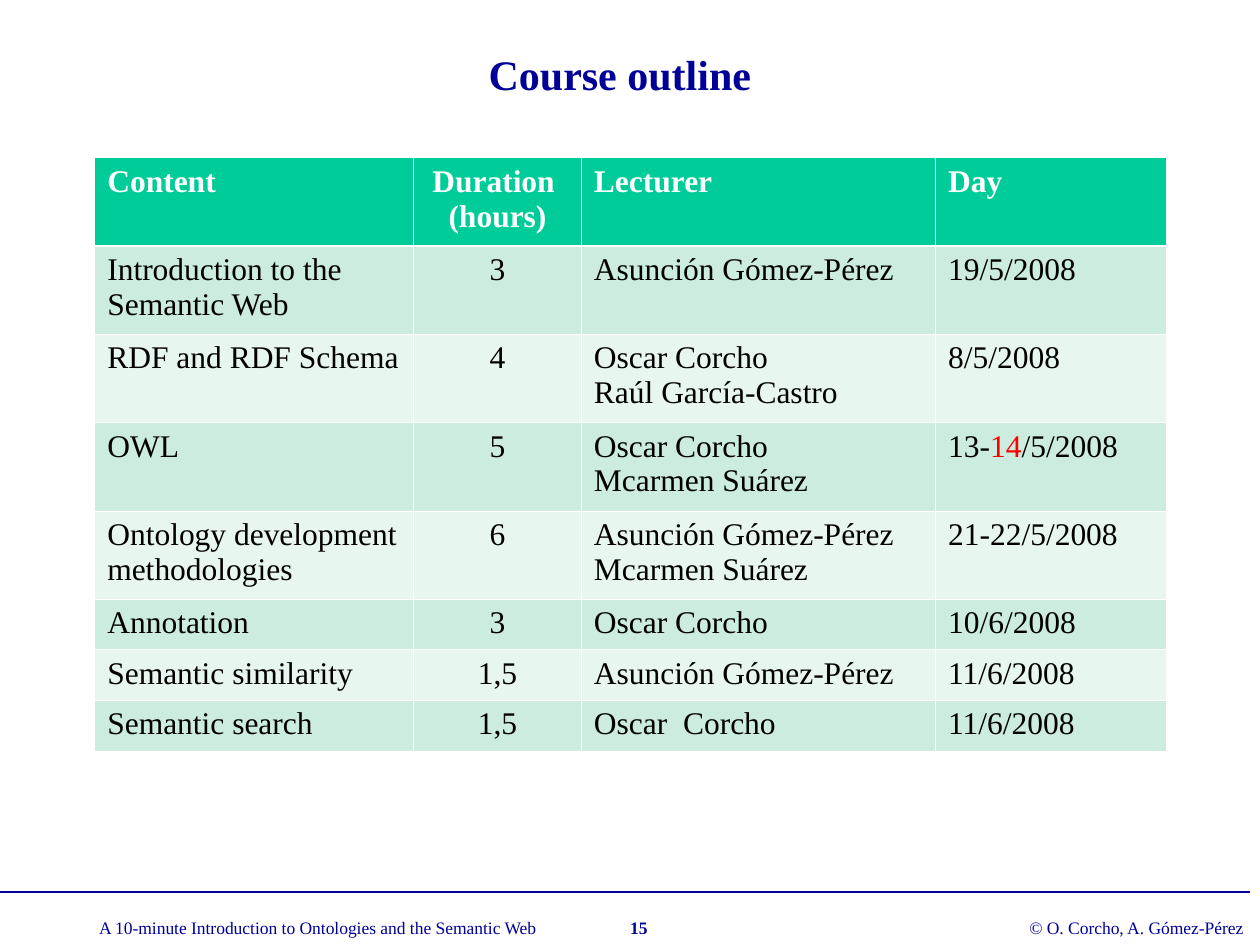
"""Build the course outline slide with its schedule table and footer."""
import dataclasses

import lxml.etree
import pptx
import pptx.dml.color
import pptx.enum.shapes
import pptx.enum.text
import pptx.oxml.ns
import pptx.util

Cm = pptx.util.Cm
Pt = pptx.util.Pt
RGB = pptx.dml.color.RGBColor
ALIGN = pptx.enum.text.PP_ALIGN
qn = pptx.oxml.ns.qn


@dataclasses.dataclass(frozen=True)
class Theme:
    """Colours, font and type sizes of the slide."""
    font: str = "Times New Roman"
    navy: RGB = RGB(0x00, 0x00, 0x99)
    white: RGB = RGB(0xFF, 0xFF, 0xFF)
    black: RGB = RGB(0x00, 0x00, 0x00)
    red: RGB = RGB(0xFF, 0x00, 0x00)
    header: RGB = RGB(0x00, 0xCC, 0x99)
    bands: tuple = (RGB(0xCB, 0xEC, 0xDE), RGB(0xE7, 0xF6, 0xEF))
    title_size: int = 24
    table_size: int = 18
    footer_size: int = 10
    border: float = 0.45
    header_border: float = 1.5


THEME = Theme()
COLUMN_WIDTHS = (6.43, 3.38, 7.14, 4.65)
TALL_ROW, SHORT_ROW = 1.78, 1.02
DURATION_COLUMN = 1
HEADINGS = ("Content", "Duration \n(hours)", "Lecturer", "Day")
COURSES = (
    ("Introduction to the Semantic Web", "3", "Asunción Gómez-Pérez", "19/5/2008"),
    ("RDF and RDF Schema", "4", "Oscar Corcho\nRaúl García-Castro", "8/5/2008"),
    ("OWL", "5", "Oscar Corcho\nMcarmen Suárez",
     (("13-", THEME.black), ("14", THEME.red), ("/5/2008", THEME.black))),
    ("Ontology development methodologies", "6",
     "Asunción Gómez-Pérez\nMcarmen Suárez", "21-22/5/2008"),
    ("Annotation", "3", "Oscar Corcho", "10/6/2008"),
    ("Semantic similarity", "1,5", "Asunción Gómez-Pérez", "11/6/2008"),
    ("Semantic search", "1,5", "Oscar  Corcho", "11/6/2008"),
)
SHORT_COURSES = 3


def add_run(paragraph, text, size, color, bold=False):
    """Add one formatted run, with line breaks where the text has them."""
    for number, line in enumerate(text.split("\n")):
        if number:
            paragraph.add_line_break()
        run = paragraph.add_run()
        run.text = line
        run.font.name = THEME.font
        run.font.size = Pt(size)
        run.font.bold = bold
        run.font.color.rgb = color


def add_title(slide, text):
    """Place and fill the title placeholder."""
    title = slide.shapes.title
    title.left, title.top, title.width, title.height = Cm(1.7), Cm(0.43), Cm(21.59), Cm(2.11)
    title.text_frame.vertical_anchor = pptx.enum.text.MSO_ANCHOR.MIDDLE
    paragraph = title.text_frame.paragraphs[0]
    paragraph.alignment = ALIGN.CENTER
    add_run(paragraph, text, THEME.title_size, THEME.navy, bold=True)


def add_footer_text(slide, text, left, width, alignment=ALIGN.LEFT, bold=False):
    """Add one unwrapped text box on the footer line."""
    shape = slide.shapes.add_textbox(Cm(left), Cm(18.36), Cm(width), Cm(0.69))
    shape.text_frame.word_wrap = False
    paragraph = shape.text_frame.paragraphs[0]
    paragraph.alignment = alignment
    add_run(paragraph, text, THEME.footer_size, THEME.navy, bold)


def add_footer_rule(slide):
    """Draw the line above the footer."""
    rule = slide.shapes.add_connector(
        pptx.enum.shapes.MSO_CONNECTOR.STRAIGHT, Cm(0), Cm(17.98), Cm(25.2), Cm(17.98))
    rule.line.color.rgb = THEME.navy
    rule.line.width = Pt(1)
    lxml.etree.SubElement(rule._element.spPr, qn("a:effectLst"))


def set_borders(cell, top, bottom):
    """Give a cell white borders with the given top and bottom widths."""
    properties = cell._tc.get_or_add_tcPr()
    widths = {"a:lnL": THEME.border, "a:lnR": THEME.border, "a:lnT": top, "a:lnB": bottom}
    for tag, width in widths.items():
        line = lxml.etree.SubElement(properties, qn(tag), w=str(int(Pt(width))))
        fill = lxml.etree.SubElement(line, qn("a:solidFill"))
        lxml.etree.SubElement(fill, qn("a:srgbClr"), val=str(THEME.white))


def fill_cell(cell, content, row, column):
    """Write and format one table cell."""
    is_header = row == 0
    set_borders(cell,
                top=THEME.header_border if row == 1 else THEME.border,
                bottom=THEME.header_border if is_header else THEME.border)
    cell.fill.solid()
    cell.fill.fore_color.rgb = THEME.header if is_header else THEME.bands[(row - 1) % 2]
    paragraph = cell.text_frame.paragraphs[0]
    paragraph.alignment = ALIGN.CENTER if column == DURATION_COLUMN else ALIGN.LEFT
    if isinstance(content, str):
        content = ((content, THEME.white if is_header else THEME.black),)
    for text, color in content:
        add_run(paragraph, text, THEME.table_size, color, bold=is_header)


def add_schedule(slide):
    """Add the table of courses."""
    rows = (HEADINGS,) + COURSES
    heights = [TALL_ROW] * (len(rows) - SHORT_COURSES) + [SHORT_ROW] * SHORT_COURSES
    table = slide.shapes.add_table(
        len(rows), len(HEADINGS), Cm(1.91), Cm(3.18),
        Cm(sum(COLUMN_WIDTHS)), Cm(sum(heights))).table
    for column, width in zip(table.columns, COLUMN_WIDTHS):
        column.width = Cm(width)
    for row, height in zip(table.rows, heights):
        row.height = Cm(height)
    for row, contents in enumerate(rows):
        for column, content in enumerate(contents):
            fill_cell(table.cell(row, column), content, row, column)


def main():
    """Build and save the presentation."""
    presentation = pptx.Presentation()
    presentation.slide_width, presentation.slide_height = Cm(25.4), Cm(19.05)
    slide = presentation.slides.add_slide(presentation.slide_layouts.get_by_name("Title Only"))
    add_footer_rule(slide)
    add_footer_text(slide, "© O. Corcho, A. Gómez-Pérez", 20.5, 4.85)
    add_footer_text(slide, "15", 11.84, 2.08, ALIGN.CENTER, bold=True)
    add_footer_text(
        slide, "A 10-minute Introduction to Ontologies and the Semantic Web", 1.75, 9.37)
    add_title(slide, "Course outline")
    add_schedule(slide)
    presentation.save("out.pptx")


if __name__ == "__main__":
    main()
